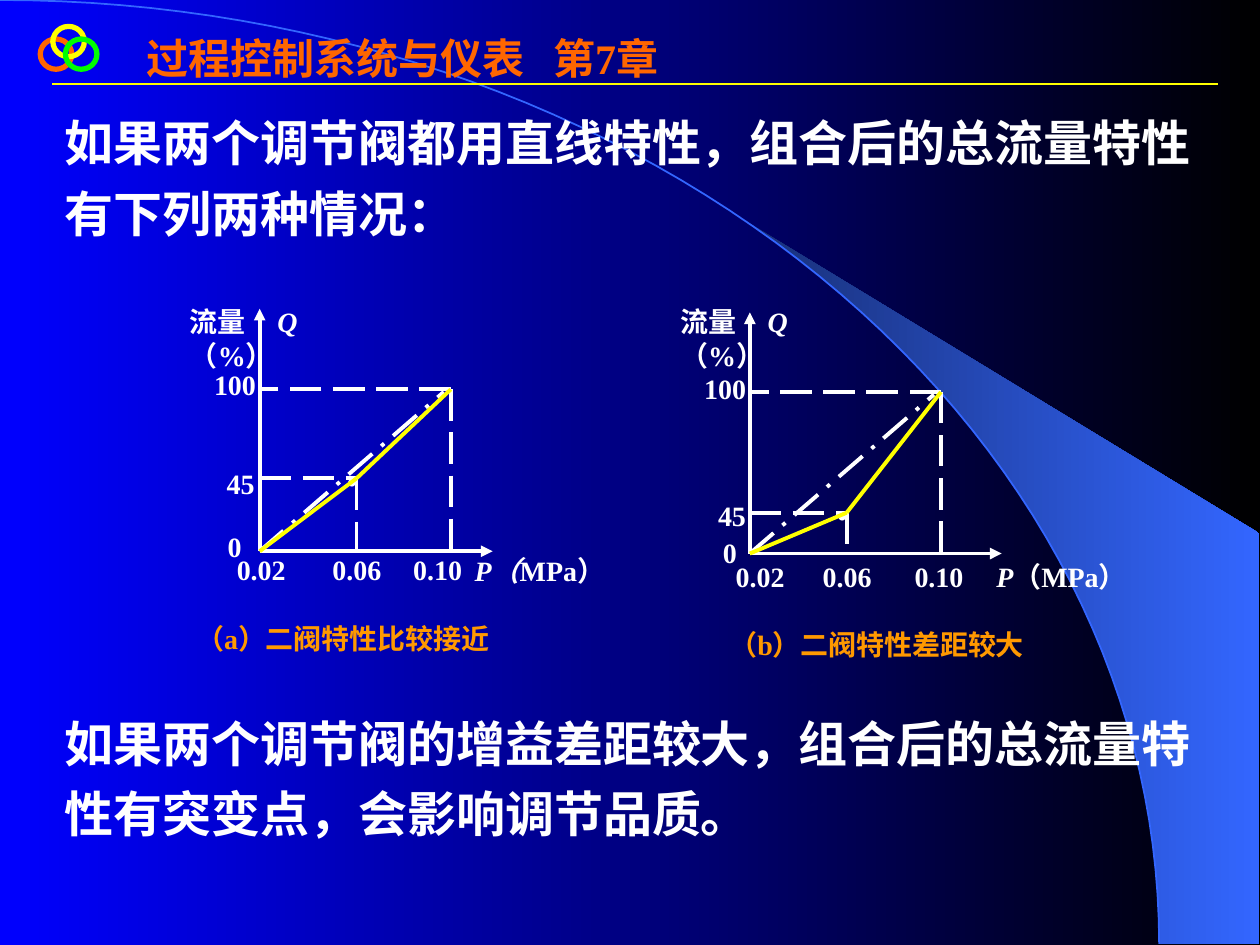
from math import asin, cos, pi, sin

from lxml.etree import SubElement
from pptx import Presentation
from pptx.dml.color import RGBColor
from pptx.enum.dml import MSO_LINE_DASH_STYLE as DASH
from pptx.enum.shapes import MSO_CONNECTOR, MSO_SHAPE as SHAPE
from pptx.enum.text import MSO_ANCHOR, MSO_AUTO_SIZE, PP_ALIGN
from pptx.oxml.ns import qn
from pptx.util import Pt

WHITE, YELLOW, BLUE, ORANGE = "FFFFFF", "FFFF00", "3366FF", "FF6600"
ARC_W, ARC_H = 662.4, 539.3


def rgb(color):
    return RGBColor.from_string(color)


def set_gradient(fill, start, end):
    """Left-to-right gradient between two colours."""
    fill.gradient()
    fill.gradient_angle = 0
    for stop, color in zip(fill.gradient_stops, (start, end)):
        stop.color.rgb = rgb(color)


def arc_points(start, steps=60):
    """Points of the quarter ellipse from angle start to its right end."""
    angles = [start + (pi / 2 - start) * i / steps for i in range(steps + 1)]
    return [(ARC_W * sin(a), ARC_H * (1 - cos(a))) for a in angles]


class Deck:
    font = "Times New Roman"

    def __init__(self):
        self.prs = Presentation()
        self.prs.slide_width, self.prs.slide_height = Pt(720), Pt(540)
        self.s = self.prs.slides.add_slide(self.prs.slide_layouts[5])

    def format_text(self, sp, lines, size, color, tab=None, spacing=None):
        """Each line is a list of (text, italic) runs."""
        tf = sp.text_frame
        tf.word_wrap = True
        tf.auto_size = MSO_AUTO_SIZE.NONE
        tf.vertical_anchor = MSO_ANCHOR.TOP
        for i, runs in enumerate(lines):
            p = tf.add_paragraph() if i else tf.paragraphs[0]
            p.alignment = PP_ALIGN.LEFT
            if spacing:
                p.line_spacing = spacing
            if tab:
                tabs = SubElement(p._p.get_or_add_pPr(), qn("a:tabLst"))
                SubElement(tabs, qn("a:tab"), pos=str(Pt(tab)), algn="l")
            p.font.name, p.font.size, p.font.bold = self.font, Pt(size), True
            p.font.color.rgb = rgb(color)
            for text, italic in runs:
                r = p.add_run()
                r.text = text
                if italic:
                    r.font.italic = True

    def title(self, text, x, y, w, h, tab):
        sp = self.s.shapes.title
        sp.left, sp.top, sp.width, sp.height = Pt(x), Pt(y), Pt(w), Pt(h)
        self.format_text(sp, [[(text, False)]], 24, ORANGE, tab)
        sp.element.getparent().append(sp.element)  # in front of the backdrop

    def rich_text(self, lines, x, y, w, h=22, size=16, color=WHITE, **style):
        sp = self.s.shapes.add_textbox(Pt(x), Pt(y), Pt(w), Pt(h))
        self.format_text(sp, lines, size, color, **style)

    def text(self, text, x, y, w=48, **style):
        self.rich_text([[(text, False)]], x, y, w, **style)

    def line(self, start, end, color=WHITE, width=2.25, dash=None, arrow=False):
        ln = self.s.shapes.add_connector(
            MSO_CONNECTOR.STRAIGHT, *(Pt(v) for v in (*start, *end)))
        ln.line.color.rgb = rgb(color)
        ln.line.width = Pt(width)
        if dash:
            ln.line.dash_style = dash
        if arrow:
            SubElement(ln.line._get_or_add_ln(), qn("a:tailEnd"), type="triangle")
        SubElement(ln._element.spPr, qn("a:effectLst"))

    def ring(self, x, y, color):
        sp = self.s.shapes.add_shape(SHAPE.OVAL, Pt(x), Pt(y), Pt(18), Pt(17.3))
        sp.shadow.inherit = False
        sp.fill.background()
        sp.line.color.rgb = rgb(color)
        sp.line.width = Pt(3)

    def outline(self, points, close):
        pts = [(Pt(x), Pt(y)) for x, y in points]
        builder = self.s.shapes.build_freeform(*pts[0])
        builder.add_line_segments(pts[1:], close=close)
        sp = builder.convert_to_shape()
        sp.shadow.inherit = False
        return sp

    def backdrop(self):
        set_gradient(self.s.background.fill, "0000FF", "000000")
        corner = [(719.3, ARC_H), (719.3, 304.6)]
        beam = self.outline(arc_points(asin(0.64)) + corner, True)
        set_gradient(beam.fill, "182F76", BLUE)
        beam.line.fill.background()
        arc = self.outline(arc_points(0), False)
        arc.fill.background()
        arc.line.color.rgb = rgb(BLUE)
        arc.line.width = Pt(1)

    def valve_plot(self, x0, y0, top, right, y45, y100, labels, unit, flow):
        """Flow diagram with origin (x0, y0); labels are (text, x, y)."""
        x06, x10 = x0 + 55.3, x0 + 109.2
        origin, bend, full = (x0, y0), (x06, y45), (x10, y100)
        self.line(origin, (x0, top), arrow=True)
        self.line(origin, (right, y0), arrow=True)
        for x, y in (bend, full):
            for end in ((x0, y), (x, y0)):
                dash_from = (x, y) if end[1] == y0 or y == y100 else end
                dash_to = end if dash_from == (x, y) else (x, y)
                self.line(dash_from, dash_to, dash=DASH.LONG_DASH)
        self.line(origin, (x10 - 4, y100 + 1.5), dash=DASH.LONG_DASH_DOT)
        self.text("•", x06 - 12.4, y45 - 11.6, w=19)
        self.line(bend, origin, YELLOW)
        self.line(full, bend, YELLOW)
        for label in labels:
            self.text(*label)
        self.rich_text([unit], *flow["unit"], 113)
        self.rich_text([[("流量\t", False), ("Q", True)], [("（%）", False)]],
                       *flow["axis"], 124, h=32, tab=50)
        self.text(flow["caption"], *flow["caption_at"], 217, h=35, color="FF9900")


def main():
    deck = Deck()
    deck.backdrop()
    for x, y, color in ((23, 22.3, ORANGE), (30.2, 15.1, YELLOW),
                        (37.4, 22.3, "00FF00")):
        deck.ring(x, y, color)
    deck.line((30, 48), (696, 48), YELLOW, 1.5)
    deck.title("过程控制系统与仪表\t第7章", 76.3, 15.1, 323, 65, tab=232.5)

    body = dict(w=666, h=88, size=28, spacing=1.2)
    deck.text("如果两个调节阀都用直线特性，组合后的总流量特性有下列两种情况：",
              30, 54, **body)
    deck.valve_plot(
        148.4, 315, 176.4, 281.5, 273.4, 222.5,
        [("0", 123, 299), ("45", 122.4, 263), ("100", 115.2, 206.6),
         ("0.02", 128.2, 312), ("0.06", 182.9, 312.5), ("0.10", 229, 312.5)],
        [("P（", True), ("MPa）", False)],
        dict(unit=(264.2, 313), axis=(101.5, 170.6),
             caption="（a）二阀特性比较接近", caption_at=(105, 351.4)))
    deck.valve_plot(
        428.5, 316.3, 178.5, 572.4, 293, 224,
        [("0", 406, 302.4), ("45", 403.2, 281.5), ("100", 395.3, 208.8),
         ("0.02", 413.3, 316), ("0.06", 463, 316), ("0.10", 515.5, 316)],
        [("P", True), ("（MPa）", False)],
        dict(unit=(562.3, 316), axis=(381.6, 170.6),
             caption="（b）二阀特性差距较大", caption_at=(409.7, 355)))
    deck.text("如果两个调节阀的增益差距较大，组合后的总流量特性有突变点，会影响调节品质。",
              30, 397.4, **body)
    deck.prs.save("out.pptx")


if __name__ == "__main__":
    main()
